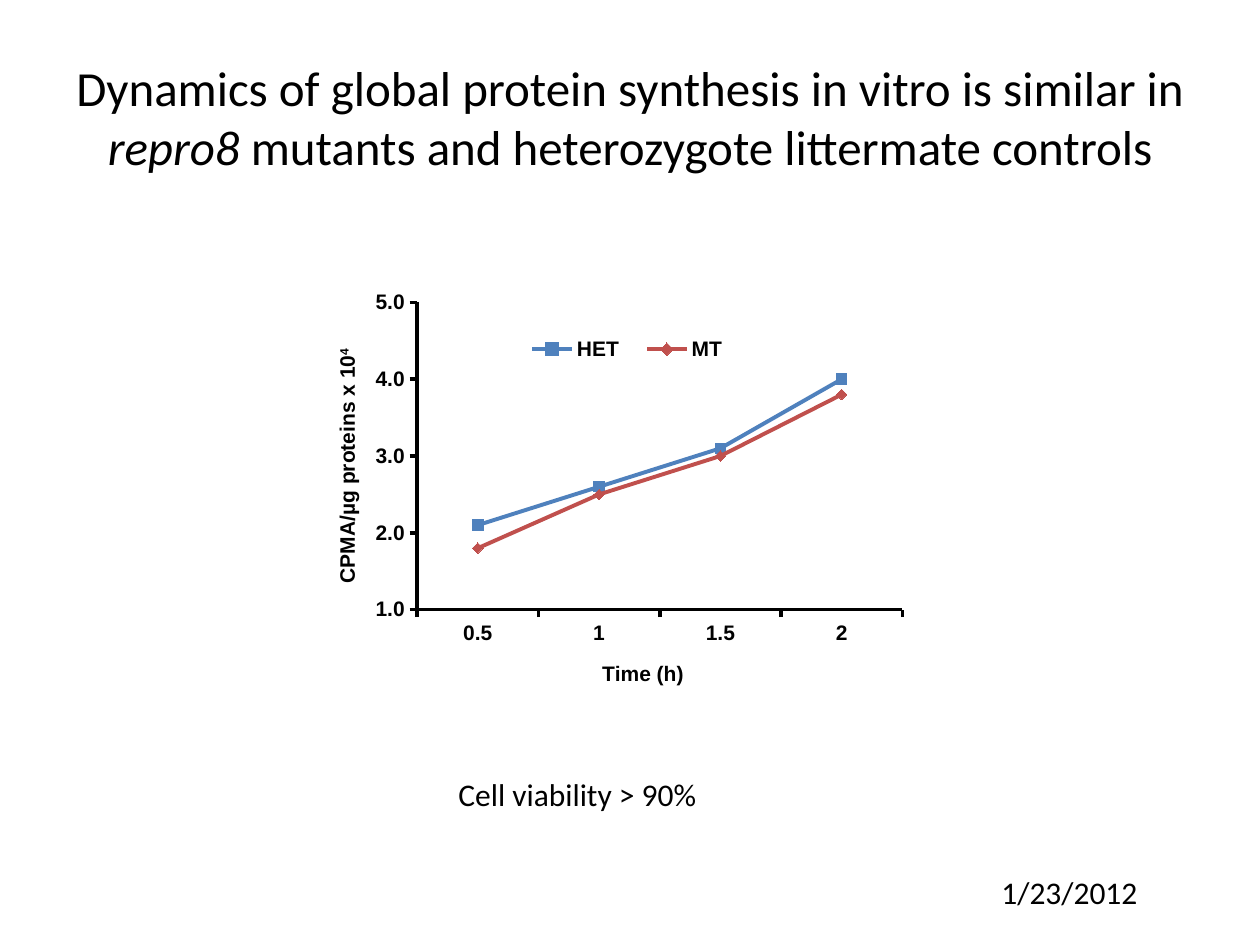
from lxml import etree
from pptx import Presentation
from pptx.chart.data import CategoryChartData
from pptx.dml.color import RGBColor
from pptx.enum.chart import (XL_CHART_TYPE, XL_LEGEND_POSITION,
                             XL_MARKER_STYLE, XL_TICK_MARK)
from pptx.enum.text import MSO_ANCHOR, PP_ALIGN
from pptx.oxml.ns import qn
from pptx.util import Pt

LINE_MARKERS = XL_CHART_TYPE.LINE_MARKERS
LEGEND_RIGHT = XL_LEGEND_POSITION.RIGHT
SQUARE, DIAMOND = XL_MARKER_STYLE.SQUARE, XL_MARKER_STYLE.DIAMOND
TICK_OUT, TICK_NONE = XL_TICK_MARK.OUTSIDE, XL_TICK_MARK.NONE
CENTER, MIDDLE = PP_ALIGN.CENTER, MSO_ANCHOR.MIDDLE

PX = 9144  # EMU per px, 100 px to the inch
TITLE_ONLY = 5
COLORS = {"text": "000000", "het": "4F81BD", "mt": "C0504D"}


def place_in_chart(element, **fractions):
    """Give a chart part a manual layout in fractions of the chart area."""
    for old in element.findall(qn("c:layout")):
        element.remove(old)
    layout = etree.Element(qn("c:layout"))
    manual = etree.SubElement(layout, qn("c:manualLayout"))
    if element.tag == qn("c:plotArea"):
        etree.SubElement(manual, qn("c:layoutTarget"), val="inner")
    for side in "xy":
        etree.SubElement(manual, qn(f"c:{side}Mode"), val="edge")
    for name, value in fractions.items():
        etree.SubElement(manual, qn(f"c:{name}"), val=str(value))
    overlay = element.find(qn("c:overlay"))
    if overlay is None:
        element.insert(0, layout)
    else:
        overlay.addprevious(layout)


class SlideBuilder:
    text_font, chart_font = "Calibri", "Arial"

    def __init__(self, slide):
        self.slide = slide

    def color(self, name):
        return RGBColor.from_string(COLORS[name])

    def style(self, font, size, family, bold=False):
        font.size, font.name, font.bold = Pt(size), family, bold
        font.color.rgb = self.color("text")

    def title(self, parts, left, top, width, height):
        """Fill the title from (wording, italic) parts."""
        title = self.slide.shapes.title
        title.left, title.top = left * PX, top * PX
        title.width, title.height = width * PX, height * PX
        title.text_frame.vertical_anchor = MIDDLE
        paragraph = title.text_frame.paragraphs[0]
        paragraph.alignment = CENTER
        for wording, italic in parts:
            run = paragraph.add_run()
            run.text = wording
            self.style(run.font, 28, self.text_font)
            run.font.italic = italic

    def note(self, wording, left, top, width, height):
        box = self.slide.shapes.add_textbox(left * PX, top * PX,
                                            width * PX, height * PX)
        box.text_frame.word_wrap = True
        box.text_frame.text = wording
        self.style(box.text_frame.paragraphs[0].runs[0].font, 18, self.text_font)

    def axis(self, axis, title, x, y, superscript=""):
        axis.has_major_gridlines = False
        axis.major_tick_mark, axis.minor_tick_mark = TICK_OUT, TICK_NONE
        axis.format.line.color.rgb = self.color("text")
        axis.format.line.width = Pt(2)
        axis.tick_labels.number_format = "0.0"
        axis.tick_labels.number_format_is_linked = False
        frame = axis.axis_title.text_frame
        frame.text = title
        paragraph = frame.paragraphs[0]
        if superscript:
            raised = paragraph.add_run()
            raised.text = superscript
            raised.font._element.set("baseline", "30000")
        for run in paragraph.runs:
            self.style(run.font, 12, self.chart_font, bold=True)
        place_in_chart(axis.axis_title._element, x=x, y=y)

    def line_chart(self, categories, series, left, top, width, height):
        """Draw series given as (name, values, color name, marker)."""
        data = CategoryChartData(number_format="0.0")
        data.categories = categories
        for name, values, _, _ in series:
            data.add_series(name, values)
        chart = self.slide.shapes.add_chart(
            LINE_MARKERS, left * PX, top * PX, width * PX, height * PX, data).chart
        self.style(chart.font, 12, self.chart_font, bold=True)
        chart.has_title = False
        chart.plots[0].vary_by_categories = False
        for line, (_, _, color, marker) in zip(chart.plots[0].series, series):
            line.smooth = False
            line.format.line.color.rgb = self.color(color)
            line.format.line.width = Pt(2.25)
            line.marker.style, line.marker.size = marker, 6
            line.marker.format.fill.solid()
            line.marker.format.fill.fore_color.rgb = self.color(color)
            line.marker.format.line.color.rgb = self.color(color)
        chart.has_legend = True
        chart.legend.position = LEGEND_RIGHT
        chart.legend.include_in_layout = False
        return chart


def main():
    prs = Presentation()
    prs.slide_width, prs.slide_height = 1000 * PX, 750 * PX
    builder = SlideBuilder(prs.slides.add_slide(prs.slide_layouts[TITLE_ONLY]))

    builder.title([
        ("Dynamics of global protein synthesis in vitro is similar in ", False),
        ("repro8 ", True),
        ("mutants and heterozygote littermate controls", False),
    ], 50, 30, 900, 125)

    synthesis = builder.line_chart(["0.5", "1", "1.5", "2"], [
        ("HET", [2.1, 2.6, 3.1, 4.0], "het", SQUARE),
        ("MT", [1.8, 2.5, 3.0, 3.8], "mt", DIAMOND),
    ], 239, 223, 575, 339)
    cpma = synthesis.value_axis
    cpma.minimum_scale, cpma.maximum_scale, cpma.major_unit = 1, 5, 1
    builder.axis(cpma, "CPMA/µg proteins x 10", 0.04, 0.15, superscript="4")
    builder.axis(synthesis.category_axis, "Time (h)", 0.41, 0.88)
    place_in_chart(cpma._element.getparent(), x=0.16, y=0.05, w=0.67, h=0.72)
    place_in_chart(synthesis.legend._element, x=0.29, y=0.12, w=0.32, h=0.08)

    builder.note("1/23/2012", 785, 688, 193, 40)
    builder.note("Cell viability > 90%", 354, 610, 214, 40)
    prs.save("out.pptx")


if __name__ == "__main__":
    main()
